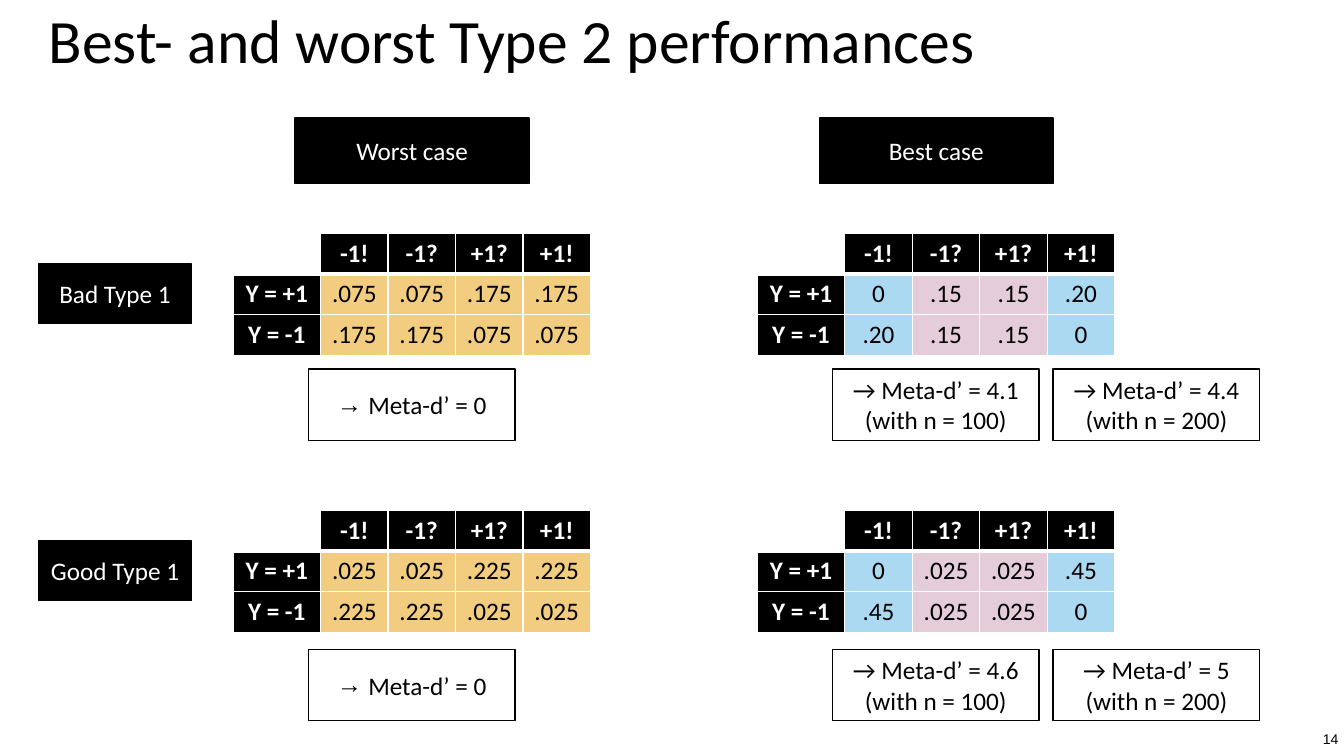
from dataclasses import dataclass

from lxml import etree
from pptx import Presentation
from pptx.dml.color import RGBColor
from pptx.enum.shapes import MSO_SHAPE
from pptx.enum.text import MSO_ANCHOR, MSO_AUTO_SIZE, PP_ALIGN
from pptx.oxml.ns import qn
from pptx.util import Cm, Pt

RECT = MSO_SHAPE.RECTANGLE
MIDDLE = MSO_ANCHOR.MIDDLE
LEFT, CENTER, RIGHT = PP_ALIGN.LEFT, PP_ALIGN.CENTER, PP_ALIGN.RIGHT
FIXED = MSO_AUTO_SIZE.NONE

BLACK = RGBColor(0x00, 0x00, 0x00)
WHITE = RGBColor(0xFF, 0xFF, 0xFF)
AMBER = RGBColor(0xF2, 0xCC, 0x7F)
BLUE = RGBColor(0xAC, 0xD9, 0xF2)
PINK = RGBColor(0xE5, 0xCC, 0xD9)

HEADS = ["-1!", "-1?", "+1?", "+1!"]
SIDES = ["Y = +1", "Y = -1"]
TABLE_TOP = 5.87
ROW_STEP = 6.98
NOTE_STEP = 5.56


@dataclass
class Case:
    name: str
    left: float
    fills: list[RGBColor]


@dataclass
class Level:
    name: str
    note_top: float
    values: list[list[str]]  # first table row of each case; the second mirrors it
    notes: list[list[str]]


CASES = [
    Case("Worst case", 5.87, [AMBER] * 4),
    Case("Best case", 19.08, [BLUE, PINK, PINK, BLUE]),
]
LEVELS = [
    Level("Bad Type 1", 9.3,
          [[".075", ".075", ".175", ".175"], ["0", ".15", ".15", ".20"]],
          [["Meta-d’ = 0"],
           ["→ Meta-d’ = 4.1\n(with n = 100)", "→ Meta-d’ = 4.4\n(with n = 200)"]]),
    Level("Good Type 1", 16.36,
          [[".025", ".025", ".225", ".225"], ["0", ".025", ".025", ".45"]],
          [["Meta-d’ = 0"],
           ["→ Meta-d’ = 4.6\n(with n = 100)", "→ Meta-d’ = 5\n(with n = 200)"]]),
]


def style(frame, color: RGBColor, size: float = 18, align=CENTER,
          bold: bool = False, font: str = "Calibri") -> None:
    for para in frame.paragraphs:
        para.alignment = align
        for run in para.runs:
            run.font.name = font
            run.font.size = Pt(size)
            run.font.bold = bold
            run.font.color.rgb = color


def add_arrow(para) -> None:
    """Give the paragraph an arrow bullet with a hanging indent."""
    props = para._p.get_or_add_pPr()
    props.set("marL", str(Cm(0.79)))
    props.set("indent", str(-Cm(0.79)))
    etree.SubElement(props, qn("a:buFont"), typeface="Arial")
    etree.SubElement(props, qn("a:buChar"), char="→")


def add_box(slide, text: str, left: float, top: float, width: float,
            height: float, fill: RGBColor, color: RGBColor):
    box = slide.shapes.add_shape(RECT, Cm(left), Cm(top), Cm(width), Cm(height))
    box.shadow.inherit = False
    box.fill.solid()
    box.fill.fore_color.rgb = fill
    box.line.color.rgb = BLACK
    box.line.width = Pt(1)
    frame = box.text_frame
    frame.text = text
    frame.vertical_anchor = MIDDLE
    style(frame, color)
    return box


def add_borders(cell, row: int) -> None:
    """Draw white cell edges, thicker between the header and the body."""
    props = cell._tc.get_or_add_tcPr()
    widths = {"L": 1, "R": 1, "T": 3 if row == 1 else 1, "B": 3 if row == 0 else 1}
    for pos, (side, width) in enumerate(widths.items()):
        line = etree.Element(qn(f"a:ln{side}"), w=str(Pt(width)))
        fill = etree.SubElement(line, qn("a:solidFill"))
        etree.SubElement(fill, qn("a:srgbClr"), val=str(WHITE))
        props.insert(pos, line)


def add_grid(slide, case: Case, top: float, values: list[str]) -> None:
    rows = [["", *HEADS], [SIDES[0], *values], [SIDES[1], *reversed(values)]]
    width, height = 2.21 + 4 * 1.7, 3 * 1.03
    table = slide.shapes.add_table(
        3, 5, Cm(case.left), Cm(top), Cm(width), Cm(height)).table
    for c, column in enumerate(table.columns):
        column.width = Cm(1.7 if c else 2.21)
    for r, texts in enumerate(rows):
        table.rows[r].height = Cm(1.03)
        for c, text in enumerate(texts):
            cell = table.cell(r, c)
            head = r == 0 or c == 0
            cell.text = text
            style(cell.text_frame, WHITE if head else BLACK, bold=head)
            cell.fill.solid()
            if head:
                cell.fill.fore_color.rgb = BLACK if text else WHITE
            else:
                cell.fill.fore_color.rgb = case.fills[c - 1]
            add_borders(cell, r)


def add_title(slide) -> None:
    title = slide.shapes.title
    title.left, title.top = Cm(0.97), Cm(0)
    title.width, title.height = Cm(31.93), Cm(2.18)
    frame = title.text_frame
    frame.text = "Best- and worst Type 2 performances"
    frame.auto_size = FIXED
    frame.vertical_anchor = MIDDLE
    frame.paragraphs[0].line_spacing = 0.9
    style(frame, BLACK, 44, LEFT)


def add_number(slide) -> None:
    box = slide.shapes.add_textbox(Cm(31.39), Cm(18.42), Cm(2.34), Cm(0.56))
    frame = box.text_frame
    frame.word_wrap = True
    frame.margin_left = frame.margin_right = 0
    frame.margin_top = frame.margin_bottom = 0
    frame.text = "14"
    style(frame, BLACK, 10, RIGHT, font="Arial")


def main() -> None:
    deck = Presentation()
    deck.slide_width, deck.slide_height = Cm(33.87), Cm(19.05)
    slide = deck.slides.add_slide(deck.slide_layouts[5])
    add_title(slide)
    add_number(slide)
    for case in CASES:
        add_box(slide, case.name, case.left + 1.57, 2.97, 5.89, 1.65, BLACK, WHITE)
    for i, level in enumerate(LEVELS):
        top = TABLE_TOP + i * ROW_STEP
        add_box(slide, level.name, 0.97, top + 0.78, 3.86, 1.5, BLACK, WHITE)
        for case, values, notes in zip(CASES, level.values, level.notes):
            add_grid(slide, case, top, values)
            for n, note in enumerate(notes):
                left = case.left + 1.9 + n * NOTE_STEP
                box = add_box(slide, note, left, level.note_top, 5.21, 1.8, WHITE, BLACK)
                if not note.startswith("→"):
                    add_arrow(box.text_frame.paragraphs[0])
    deck.save("out.pptx")


if __name__ == "__main__":
    main()
